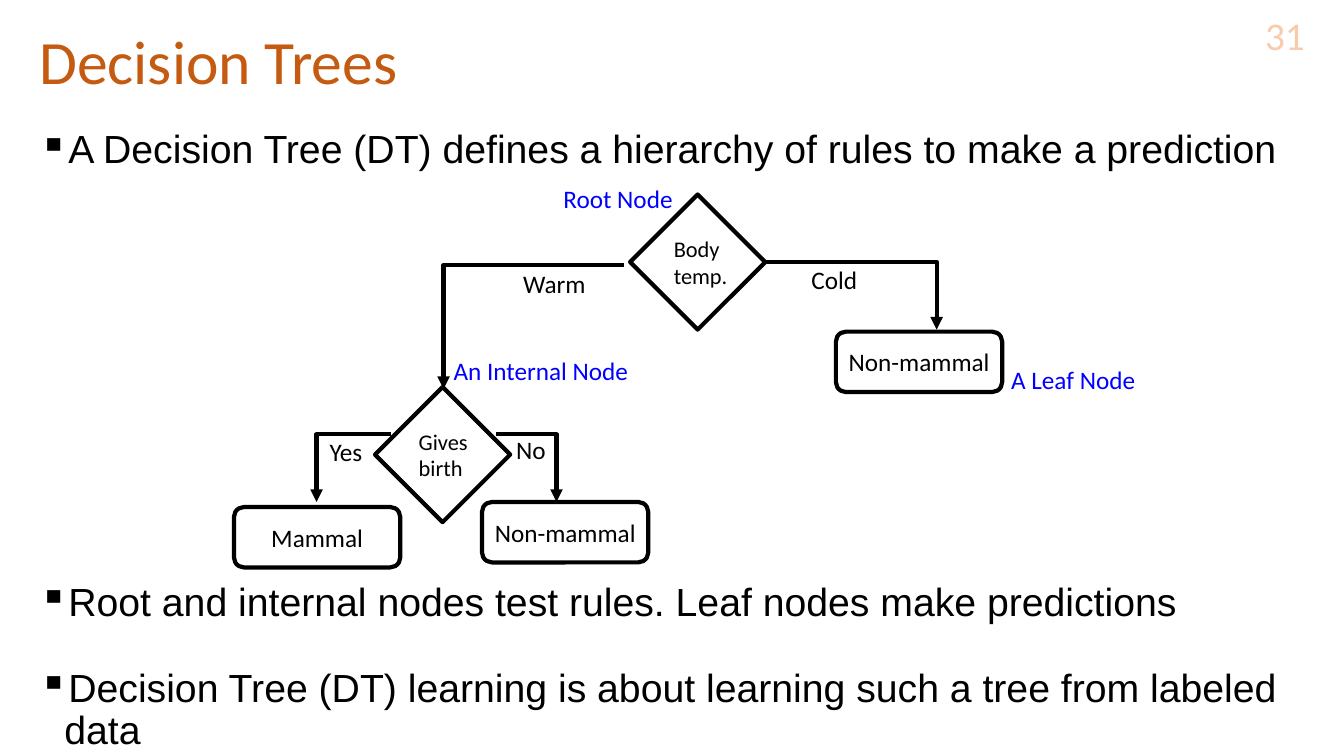
from dataclasses import dataclass
from lxml.etree import SubElement
from pptx import Presentation
from pptx.dml.color import RGBColor
from pptx.enum.shapes import MSO_CONNECTOR, MSO_SHAPE
from pptx.enum.text import MSO_ANCHOR, MSO_AUTO_SIZE, PP_ALIGN
from pptx.oxml.ns import qn
from pptx.util import Inches, Pt


@dataclass
class Theme:
    head: str = "C55A11"
    page: str = "F8CBAD"
    ink: str = "000000"
    note: str = "0000FF"
    paper: str = "FFFFFF"
    font: str = "Calibri"
    prose: str = "Arial"
    big: int = 44
    mid: int = 28
    small: int = 18
    tiny: int = 16
    line: int = 3


theme = Theme()


def write(shape, text, size=theme.small, color=theme.ink, font=theme.font,
          align=PP_ALIGN.LEFT, anchor=MSO_ANCHOR.MIDDLE, wrap=False,
          fit=MSO_AUTO_SIZE.NONE, pitch=1.0):
    frame = shape.text_frame
    frame.text = text
    frame.word_wrap = wrap
    frame.auto_size = fit
    frame.vertical_anchor = anchor
    for para in frame.paragraphs:
        para.alignment = align
        para.line_spacing = pitch
        para.font.size = Pt(size)
        para.font.name = font
        para.font.color.rgb = RGBColor.from_string(color)
    return frame


deck = Presentation()
deck.slide_width = Inches(13.33)
deck.slide_height = Inches(7.5)
slide = deck.slides.add_slide(deck.slide_layouts[5])
shapes = slide.shapes

title = shapes.title
title.left, title.top = Inches(0.29), Inches(0.19)
title.width, title.height = Inches(12.84), Inches(0.9)
write(title, "Decision Trees", size=theme.big, color=theme.head, wrap=True, pitch=0.9)

page = shapes.add_textbox(Inches(12.38), Inches(0.15), Inches(0.66), Inches(0.4))
write(page, "31", size=theme.mid, color=theme.page, align=PP_ALIGN.RIGHT, wrap=True)

points = [
    ("A Decision Tree (DT) defines a hierarchy of rules to make a prediction", 10),
    ("Root and internal nodes test rules. Leaf nodes make predictions", 293),
    ("Decision Tree (DT) learning is about learning such a tree from labeled data", 31),
]
body = shapes.add_textbox(Inches(0.29), Inches(1.24), Inches(12.84), Inches(6.08))
frame = write(body, "\n".join(text for text, gap in points), size=theme.mid,
              font=theme.prose, anchor=MSO_ANCHOR.TOP, wrap=True, pitch=0.9)
for para, (text, gap) in zip(frame.paragraphs, points):
    para.space_before = Pt(gap)
    props = para._p.get_or_add_pPr()
    props.set("marL", str(Inches(0.25)))
    props.set("indent", str(-Inches(0.25)))
    mark = props.makeelement(qn("a:buChar"), {"char": "▪"})
    props.find(qn("a:spcBef")).addnext(mark)

arrows = [
    (7.59, 2.6, 9.29, 3.27),
    (6.19, 2.63, 4.4, 3.86),
    (3.88, 4.31, 3.14, 4.98),
    (4.92, 4.31, 5.52, 4.98),
]
for ends in arrows:
    arrow = shapes.add_connector(MSO_CONNECTOR.ELBOW, *map(Inches, ends))
    arrow.line.width = Pt(theme.line)
    arrow.line.color.rgb = RGBColor.from_string(theme.ink)
    props = arrow._element.spPr
    props.find(qn("a:prstGeom")).set("prst", "bentConnector2")
    SubElement(props.find(qn("a:ln")), qn("a:tailEnd"), type="triangle")
    SubElement(props, qn("a:effectLst"))

test = (MSO_SHAPE.DIAMOND, 1.34, 1.34, theme.tiny)
leaf = (MSO_SHAPE.ROUNDED_RECTANGLE, 1.65, 0.6, theme.small)
nodes = [
    ("Body\ntemp.", 6.25, 1.93, test, PP_ALIGN.LEFT),
    ("Gives\nbirth", 3.72, 3.84, test, PP_ALIGN.LEFT),
    ("Non-mammal", 8.29, 3.29, leaf, PP_ALIGN.LEFT),
    ("Non-mammal", 4.78, 4.98, leaf, PP_ALIGN.LEFT),
    ("Mammal", 2.32, 5.03, leaf, PP_ALIGN.CENTER),
]
for text, left, top, (kind, width, height, size), align in nodes:
    node = shapes.add_shape(kind, Inches(left), Inches(top), Inches(width), Inches(height))
    node.shadow.inherit = False
    node.fill.solid()
    node.fill.fore_color.rgb = RGBColor.from_string(theme.paper)
    node.line.color.rgb = RGBColor.from_string(theme.ink)
    node.line.width = Pt(theme.line)
    write(node, text, size=size, align=align)

labels = [
    ("Cold", 7.95, 2.57, 0.66, theme.ink),
    ("Warm", 5.09, 2.61, 0.83, theme.ink),
    ("Yes", 3.17, 4.28, 0.53, theme.ink),
    ("No", 5.02, 4.26, 0.5, theme.ink),
    ("Root Node", 5.49, 1.77, 1.3, theme.note),
    ("An Internal Node", 4.4, 3.48, 1.95, theme.note),
    ("A Leaf Node", 9.93, 3.57, 1.45, theme.note),
]
for text, left, top, width, color in labels:
    label = shapes.add_textbox(Inches(left), Inches(top), Inches(width), Inches(0.4))
    write(label, text, color=color, anchor=MSO_ANCHOR.TOP,
          fit=MSO_AUTO_SIZE.SHAPE_TO_FIT_TEXT)

deck.save("out.pptx")
